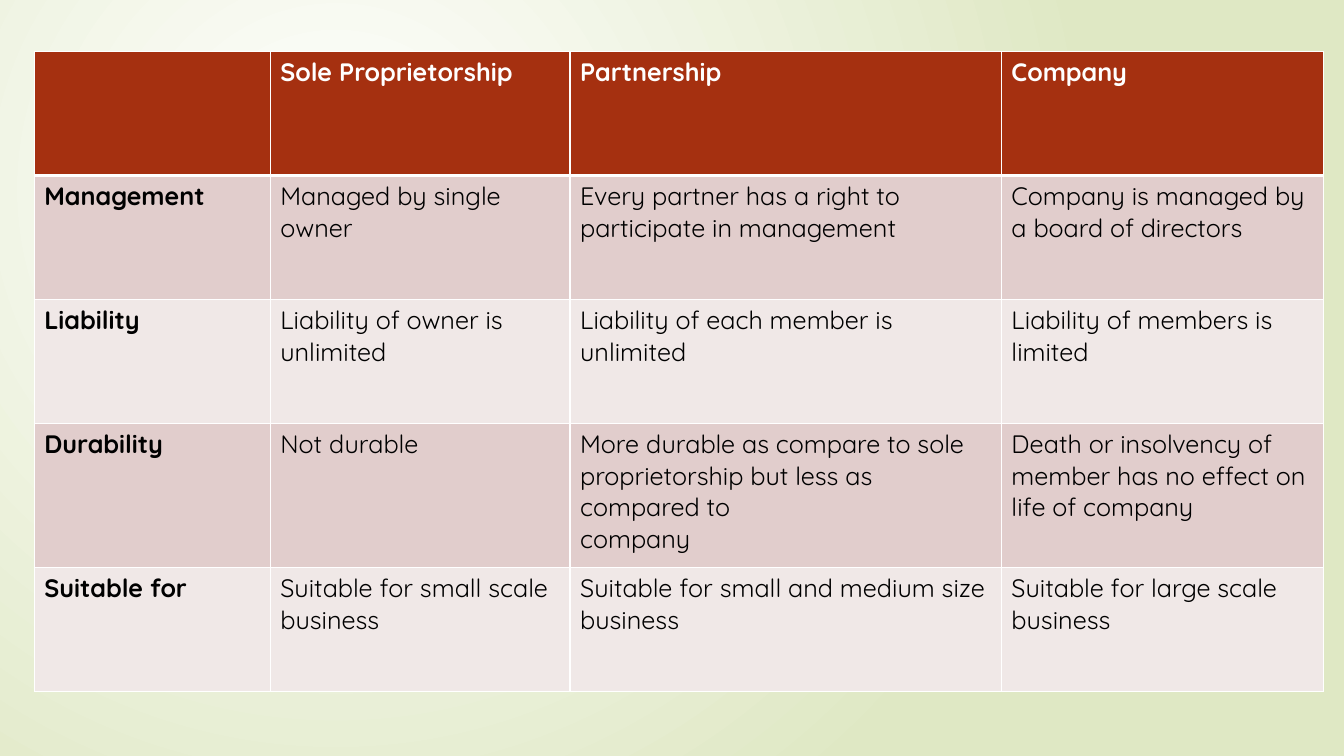
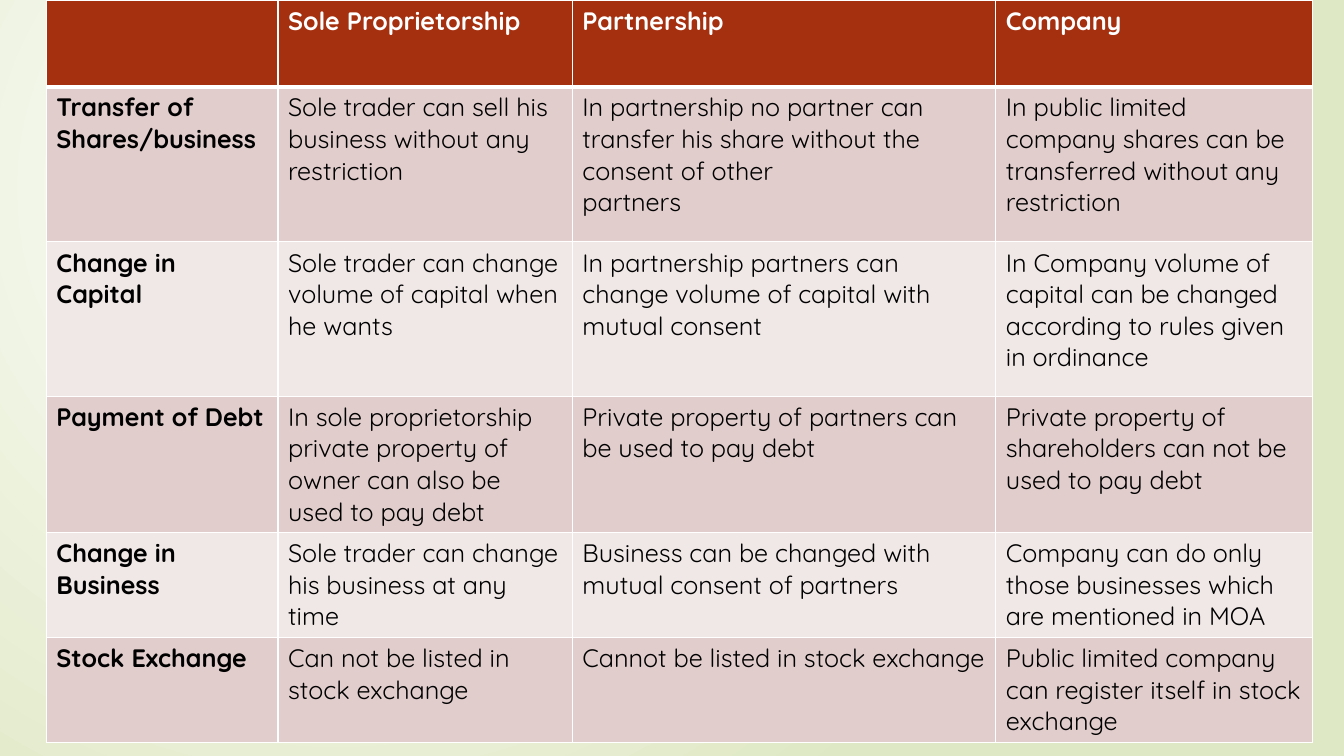
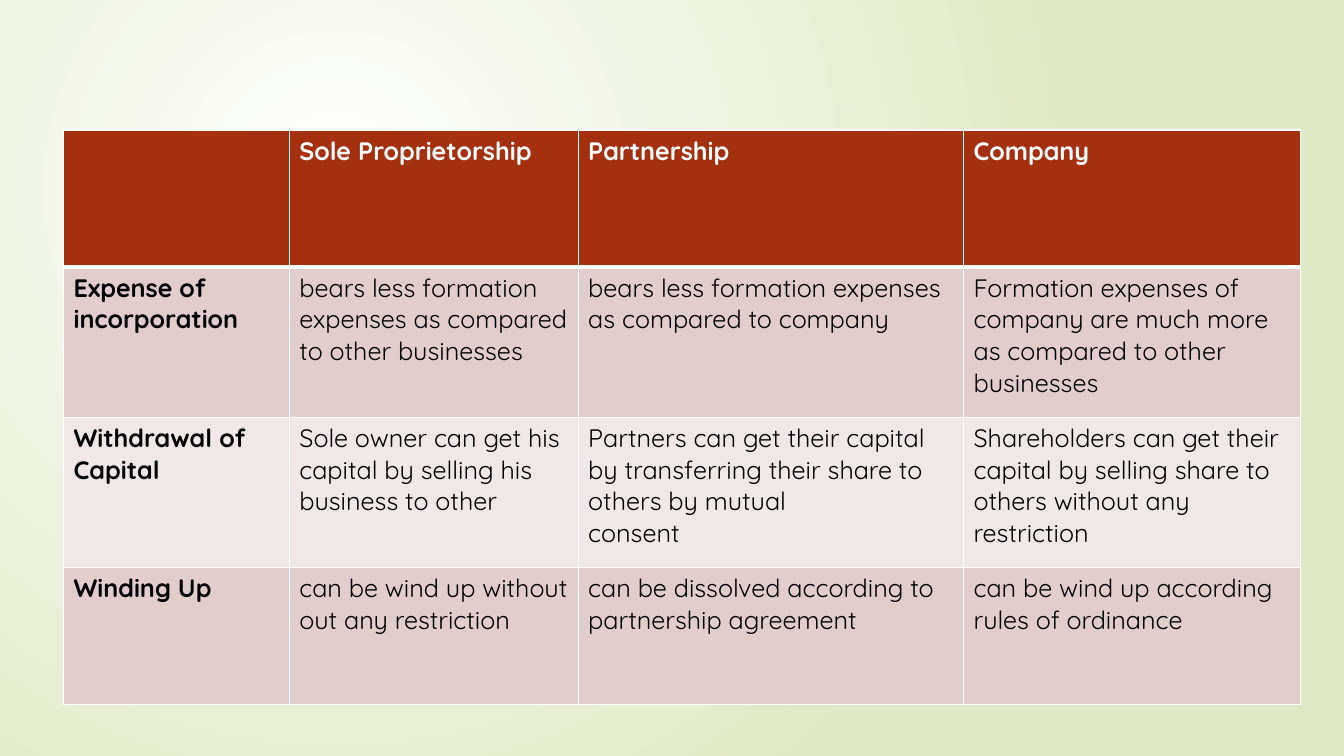
from dataclasses import dataclass

from lxml import etree
from pptx import Presentation
from pptx import util as u
from pptx.dml.color import RGBColor
from pptx.oxml.ns import qn


@dataclass(frozen=True)
class Theme:
    font: str = "Quicksand"
    size: float = 18
    header: str = "A53010"
    bands: tuple[str, str] = ("E1CDCC", "F0E8E7")
    header_text: str = "FFFFFF"
    body_text: str = "000000"
    border: str = "FFFFFF"
    thin: float = 1
    thick: float = 3
    glow: tuple[str, str] = ("FFFFFF", "DFE8C4")


@dataclass(frozen=True)
class Comparison:
    left: float
    top: float
    width: float
    columns: tuple[float, ...]
    heights: tuple[float, ...]
    rows: tuple[tuple[str, ...], ...]


THEME = Theme()
SLIDE_W, SLIDE_H = u.Inches(13.33), u.Inches(7.5)
HEADINGS = ("", "Sole Proprietorship", "Partnership", "Company")
WIDE_COLUMNS = (18.3, 23.25, 33.45, 25)

COMPARISONS = (
    Comparison(
        2.55, 6.8, 95.95, WIDE_COLUMNS, (16.4, 16.4, 16.4, 19.07, 16.4),
        (
            ("Management",
             "Managed by single owner",
             "Every partner has a right to participate in management",
             "Company is managed by a board of directors"),
            ("Liability",
             "Liability of owner is unlimited",
             "Liability of each member is unlimited",
             "Liability of members is limited"),
            ("Durability",
             "Not durable",
             "More durable as compare to sole proprietorship but less as compared to\ncompany",
             "Death or insolvency of member has no effect on life of company"),
            ("Suitable for",
             "Suitable for small scale business",
             "Suitable for small and medium size business",
             "Suitable for large scale business"),
        ),
    ),
    Comparison(
        3.45, 0, 94.2, WIDE_COLUMNS, (11.47, 20.53, 20.4, 18, 13.87, 13.87),
        (
            ("Transfer of Shares/business",
             "Sole trader can sell his business without any restriction",
             "In partnership no partner can transfer his share without the consent of other\npartners",
             "In public limited company shares can be transferred without any restriction"),
            ("Change in Capital",
             "Sole trader can change volume of capital when he wants",
             "In partnership partners can change volume of capital with mutual consent",
             "In Company volume of capital can be changed according to rules given in ordinance"),
            ("Payment of Debt",
             "In sole proprietorship private property of owner can also be used to pay debt",
             "Private property of partners can be used to pay debt",
             "Private property of shareholders can not be used to pay debt"),
            ("Change in Business",
             "Sole trader can change his business at any time",
             "Business can be changed with mutual consent of partners",
             "Company can do only those businesses which are mentioned in MOA"),
            ("Stock Exchange",
             "Can not be listed in stock exchange",
             "Cannot be listed in stock exchange",
             "Public limited company can register itself in stock exchange"),
        ),
    ),
    Comparison(
        4.73, 17.2, 92.05, (18.25, 23.35, 31.15, 27.25), (18.13, 19.87, 19.87, 18.13),
        (
            ("Expense of incorporation",
             "bears less formation expenses as compared to other businesses",
             "bears less formation expenses as compared to company",
             "Formation expenses of company are much more as compared to other businesses"),
            ("Withdrawal of Capital",
             "Sole owner can get his capital by selling his business to other",
             "Partners can get their capital by transferring their share to others by mutual\nconsent",
             "Shareholders can get their capital by selling share to others without any restriction"),
            ("Winding Up",
             "can be wind up without out any restriction",
             "can be dissolved according to partnership agreement",
             "can be wind up according rules of ordinance"),
        ),
    ),
)


def share(percent: float, whole: int) -> u.Emu:
    return u.Emu(round(whole * percent / 100))


def paint_background(master) -> None:
    fill = master.background.fill
    fill.gradient()
    for stop, color in zip(fill.gradient_stops, THEME.glow):
        stop.color.rgb = RGBColor.from_string(color)
    grad = master.element.find(".//" + qn("a:gradFill"))
    grad.remove(grad.find(qn("a:lin")))
    circle = etree.SubElement(grad, qn("a:path"), path="circle")
    etree.SubElement(circle, qn("a:fillToRect"),
                     l="50000", t="50000", r="100000", b="100000")


def draw_borders(cell, row: int) -> None:
    tc_pr = cell._tc.get_or_add_tcPr()
    widths = {
        "L": THEME.thin,
        "R": THEME.thin,
        "T": THEME.thick if row == 1 else THEME.thin,
        "B": THEME.thick if row == 0 else THEME.thin,
    }
    for i, (side, width) in enumerate(widths.items()):
        ln = etree.Element(qn(f"a:ln{side}"), w=str(u.Pt(width)))
        solid = etree.SubElement(ln, qn("a:solidFill"))
        etree.SubElement(solid, qn("a:srgbClr"), val=THEME.border)
        tc_pr.insert(i, ln)


def fill_cell(cell, words: str, row: int, col: int) -> None:
    is_header = row == 0
    color = THEME.header if is_header else THEME.bands[(row - 1) % 2]
    cell.fill.solid()
    cell.fill.fore_color.rgb = RGBColor.from_string(color)
    draw_borders(cell, row)
    cell.text = words
    ink = THEME.header_text if is_header else THEME.body_text
    for p in cell.text_frame.paragraphs:
        p.font.name = THEME.font
        p.font.size = u.Pt(THEME.size)
        p.font.bold = is_header or col == 0
        p.font.color.rgb = RGBColor.from_string(ink)


def draw_comparison(s, item: Comparison) -> None:
    rows = (HEADINGS, *item.rows)
    width = share(item.width, SLIDE_W)
    table = s.shapes.add_table(
        len(rows), len(HEADINGS),
        share(item.left, SLIDE_W), share(item.top, SLIDE_H),
        width, share(sum(item.heights), SLIDE_H),
    ).table
    table.horz_banding = False
    for column, percent in zip(table.columns, item.columns):
        column.width = share(percent, width)
    for table_row, percent in zip(table.rows, item.heights):
        table_row.height = share(percent, SLIDE_H)
    for row, texts in enumerate(rows):
        for col, words in enumerate(texts):
            fill_cell(table.cell(row, col), words, row, col)


def main() -> None:
    prs = Presentation()
    prs.slide_width, prs.slide_height = SLIDE_W, SLIDE_H
    paint_background(prs.slide_master)
    for item in COMPARISONS:
        s = prs.slides.add_slide(prs.slide_layouts[6])
        draw_comparison(s, item)
    prs.save("out.pptx")


if __name__ == "__main__":
    main()
